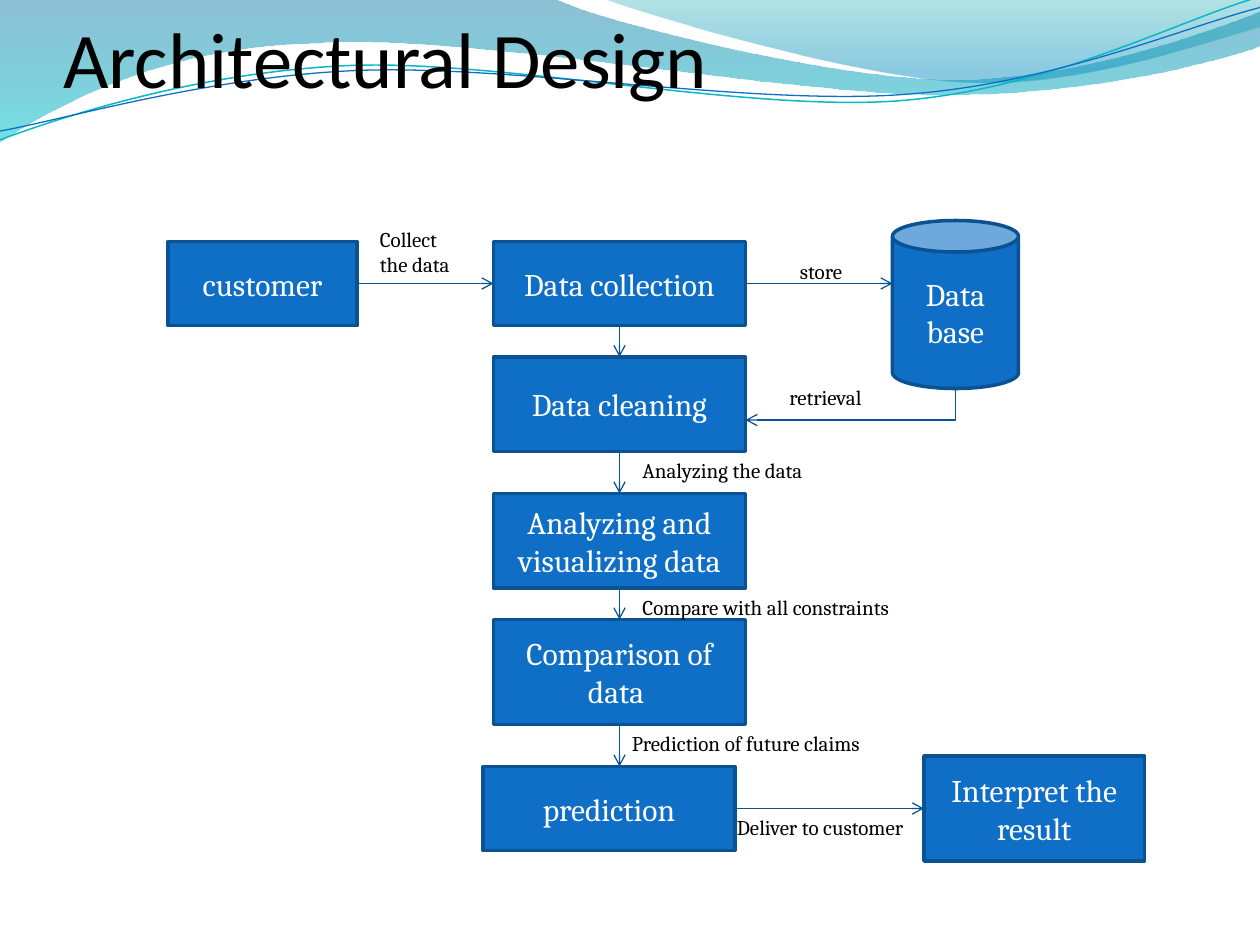
from math import cos, radians, sin
from lxml.etree import SubElement
from pptx import Presentation
from pptx.dml.color import RGBColor
from pptx.enum.shapes import MSO_CONNECTOR, MSO_SHAPE
from pptx.enum.text import MSO_ANCHOR, MSO_AUTO_SIZE, PP_ALIGN
from pptx.oxml import parse_xml
from pptx.oxml.ns import nsdecls, qn
from pptx.util import Inches, Pt

BLUE = RGBColor(0x0F, 0x6F, 0xC6)
BORDER = RGBColor(0x0B, 0x52, 0x92)
ARROW = RGBColor(0x09, 0x52, 0x95)
TEAL = RGBColor(0x0A, 0xB8, 0xBF)
WHITE = RGBColor(0xFF, 0xFF, 0xFF)
BLACK = RGBColor(0, 0, 0)

TITLE = "Architectural Design"
# Each step: text, left, top, width, height
STEPS = {
    "comparison": ("Comparison of data ", 3.92, 4.92, 2, 0.83),
    "analysis": ("Analyzing and visualizing data", 3.92, 3.92, 2, 0.75),
    "collection": ("Data collection", 3.92, 1.92, 2, 0.67),
    "prediction": ("prediction", 3.83, 6.08, 2, 0.67),
    "result": ("Interpret the result", 7.33, 6, 1.75, 0.83),
    "customer": ("customer", 1.33, 1.92, 1.5, 0.67),
    "cleaning": ("Data cleaning", 3.92, 2.83, 2, 0.75),
    "database": ("Data base", 7.08, 1.75, 1, 1.33),
}
# Rightward arrows carry their height on the slide
ACROSS = [("customer", "collection", 2.25), ("collection", "database", 2.25),
          ("prediction", "result", 6.42)]
DOWN = ["collection", "cleaning", "analysis", "comparison", "prediction"]
DOWN_X = 4.92
RETRIEVAL_Y = 3.33
# Each label: text, left, top, width, height, wraps
LABELS = [
    ("Collect the data", 2.92, 1.75, 0.83, 0.5, True),
    ("store", 6.25, 2, 0.56, 0.3, False),
    ("retrieval", 6.17, 3, 0.8, 0.3, False),
    ("Analyzing the data", 5, 3.58, 1.56, 0.3, False),
    ("Compare with all constraints", 5, 4.67, 2.28, 0.3, False),
    ("Prediction of future claims ", 4.92, 5.75, 2.17, 0.3, False),
    ("Deliver to customer", 5.75, 6.42, 1.62, 0.3, False),
]
# Wave pieces: 2 numbers draw a straight line, 6 numbers draw a cubic curve
BANDS = [
    ([(0, 0), (4.4, -0.01), (4.76, 0.17, 6.64, 0.63, 7.58, 0.63),
      (8.53, 0.63, 9.58, 0.26, 10, 0.09), (10.01, 0.36),
      (9.83, 0.44, 8.7, 0.76, 7.46, 0.75), (6.22, 0.75, 3.82, 0.28, 2.57, 0.34),
      (1.29, 0.36, 0.46, 0.83, -0.01, 1.13)],
     [(0, "0074A1", 45), (100, "00C6CF", 55)]),
    ([(4.79, -0.01), (5.09, 0.11, 6.82, 0.62, 7.69, 0.65),
      (8.56, 0.69, 9.61, 0.32, 10, 0.21), (10, 0)],
     [(0, "00A1A9", 30), (80, "008BBF", 45)]),
]
# Each strand: pieces, centre, colour, line width
STRANDS = [
    ([(0, 1.11), (0.48, 0.93, 1.58, 0.57, 2.77, 0.52),
      (3.95, 0.47, 5.93, 0.89, 7.13, 0.8), (8.33, 0.71, 9.38, 0.15, 9.98, -0.02)],
     (4.99, 0.58), TEAL, 0.85),
    ([(0, 1.04), (0.47, 0.96, 1.64, 0.61, 2.83, 0.56),
      (4.03, 0.51, 5.97, 0.84, 7.17, 0.75), (8.36, 0.67, 9.41, 0.21, 10, 0.06)],
     (5, 0.59), BLUE, 0.75),
]
STRAND_TILT = -2.7

deck = Presentation()
deck.slide_width, deck.slide_height = Inches(10), Inches(7.5)
slide = deck.slides.add_slide(deck.slide_layouts[6])
shapes = slide.shapes


def snap(length):
    """Move a length to the diagram's grid of twelfths of an inch."""
    return round(length * 12) / 12


def turn(piece, centre, degrees):
    """Rotate the points of a wave piece around a centre."""
    c, s = cos(radians(degrees)), sin(radians(degrees))
    turned = []
    for x, y in zip(piece[::2], piece[1::2]):
        dx, dy = x - centre[0], y - centre[1]
        turned += [centre[0] + dx * c - dy * s, centre[1] + dx * s + dy * c]
    return tuple(turned)


def add_wave(pieces, closed):
    """Draw a wave of lines and true curves, without fill, line or shadow."""
    points = [(Inches(x), Inches(y)) for piece in pieces
              for x, y in zip(piece[::2], piece[1::2])]
    builder = shapes.build_freeform(*points[0])
    builder.add_line_segments(points[1:], close=closed)
    wave = builder.convert_to_shape()
    lines = iter(list(wave._element.iter(qn("a:lnTo"))))
    for piece in pieces[1:]:
        first = next(lines)
        if len(piece) == 6:
            first.addprevious(parse_xml(f'<a:cubicBezTo {nsdecls("a")}/>'))
            curve = first.getprevious()
            for line in (first, next(lines), next(lines)):
                curve.append(line[0])
                line.getparent().remove(line)
    wave.shadow.inherit = False
    wave.fill.background()
    wave.line.fill.background()
    return wave


def fill_gradient(shape, stops):
    """Fill a shape from top to bottom with translucent colours."""
    marks = "".join(
        f'<a:gs pos="{place * 1000}"><a:srgbClr val="{colour}">'
        f'<a:alpha val="{opacity * 1000}"/></a:srgbClr></a:gs>'
        for place, colour, opacity in stops)
    gradient = parse_xml(f'<a:gradFill {nsdecls("a")} rotWithShape="1"><a:gsLst>{marks}'
                         '</a:gsLst><a:lin ang="5400000" scaled="0"/></a:gradFill>')
    properties = shape._element.spPr
    properties.replace(properties.find(qn("a:noFill")), gradient)


def write(frame, text, size, font, colour, align=PP_ALIGN.LEFT):
    """Put one run of text in a frame."""
    paragraph = frame.paragraphs[0]
    paragraph.alignment = align
    run = paragraph.add_run()
    run.text = text
    run.font.size, run.font.name = Pt(size), font
    run.font.color.rgb = colour


def add_step(name):
    """Draw one step, the database as a can."""
    text, *place = STEPS[name]
    kind = MSO_SHAPE.CAN if name == "database" else MSO_SHAPE.RECTANGLE
    step = shapes.add_shape(kind, *(Inches(snap(length)) for length in place))
    step.shadow.inherit = False
    step.fill.solid()
    step.fill.fore_color.rgb = BLUE
    step.line.color.rgb, step.line.width = BORDER, Pt(2)
    step.text_frame.word_wrap = True
    step.text_frame.vertical_anchor = MSO_ANCHOR.MIDDLE
    write(step.text_frame, text, 18, "Cambria", WHITE, PP_ALIGN.CENTER)


def add_arrow(x1, y1, x2, y2, kind=MSO_CONNECTOR.STRAIGHT):
    """Draw a connector with an open arrowhead at its end."""
    arrow = shapes.add_connector(kind, *map(Inches, (x1, y1, x2, y2)))
    arrow.line.color.rgb, arrow.line.width = ARROW, Pt(0.75)
    SubElement(arrow.line._get_or_add_ln(), qn("a:tailEnd"), type="arrow")
    SubElement(arrow._element.spPr, qn("a:effectLst"))
    return arrow


def add_corner_arrow(x1, y1, x2, y2):
    """Draw an arrow that goes down, then left, as a quarter-turned elbow."""
    middle_x, middle_y = (x1 + x2) / 2, (y1 + y2) / 2
    half_width, half_height = (y2 - y1) / 2, (x1 - x2) / 2
    arrow = add_arrow(middle_x - half_width, middle_y - half_height,
                      middle_x + half_width, middle_y + half_height,
                      MSO_CONNECTOR.ELBOW)
    properties = arrow._element.spPr
    properties.find(qn("a:xfrm")).set("rot", "5400000")
    properties.find(qn("a:prstGeom")).set("prst", "bentConnector2")


for outline, stops in BANDS:
    fill_gradient(add_wave(outline, True), stops)
for outline, centre, colour, width in STRANDS:
    strand = add_wave([turn(piece, centre, -STRAND_TILT) for piece in outline], False)
    strand.rotation = STRAND_TILT
    strand.line.color.rgb, strand.line.width = colour, Pt(width)

title = shapes.add_textbox(Inches(0.5), Inches(0.16), Inches(9.08), Inches(0.67)).text_frame
title.word_wrap = True
title.vertical_anchor = MSO_ANCHOR.BOTTOM
title.margin_left = title.margin_right = title.margin_bottom = 0
write(title, TITLE, 45, "Calibri", BLACK)

for name in STEPS:
    add_step(name)

for source, target, y in ACROSS:
    _, left, _, width, _ = STEPS[source]
    add_arrow(*map(snap, (left + width, y, STEPS[target][1], y)))
for source, target in zip(DOWN, DOWN[1:]):
    _, _, top, _, height = STEPS[source]
    add_arrow(*map(snap, (DOWN_X, top + height, DOWN_X, STEPS[target][2])))
_, left, top, width, height = STEPS["database"]
_, cleaning_left, _, cleaning_width, _ = STEPS["cleaning"]
add_corner_arrow(*map(snap, (left + width / 2, top + height,
                             cleaning_left + cleaning_width, RETRIEVAL_Y)))

for text, left, top, width, height, wraps in LABELS:
    label = shapes.add_textbox(*map(Inches, (snap(left), snap(top), width, height))).text_frame
    label.word_wrap = wraps
    label.auto_size = MSO_AUTO_SIZE.SHAPE_TO_FIT_TEXT
    write(label, text, 12, "Cambria", BLACK)

deck.save("out.pptx")
